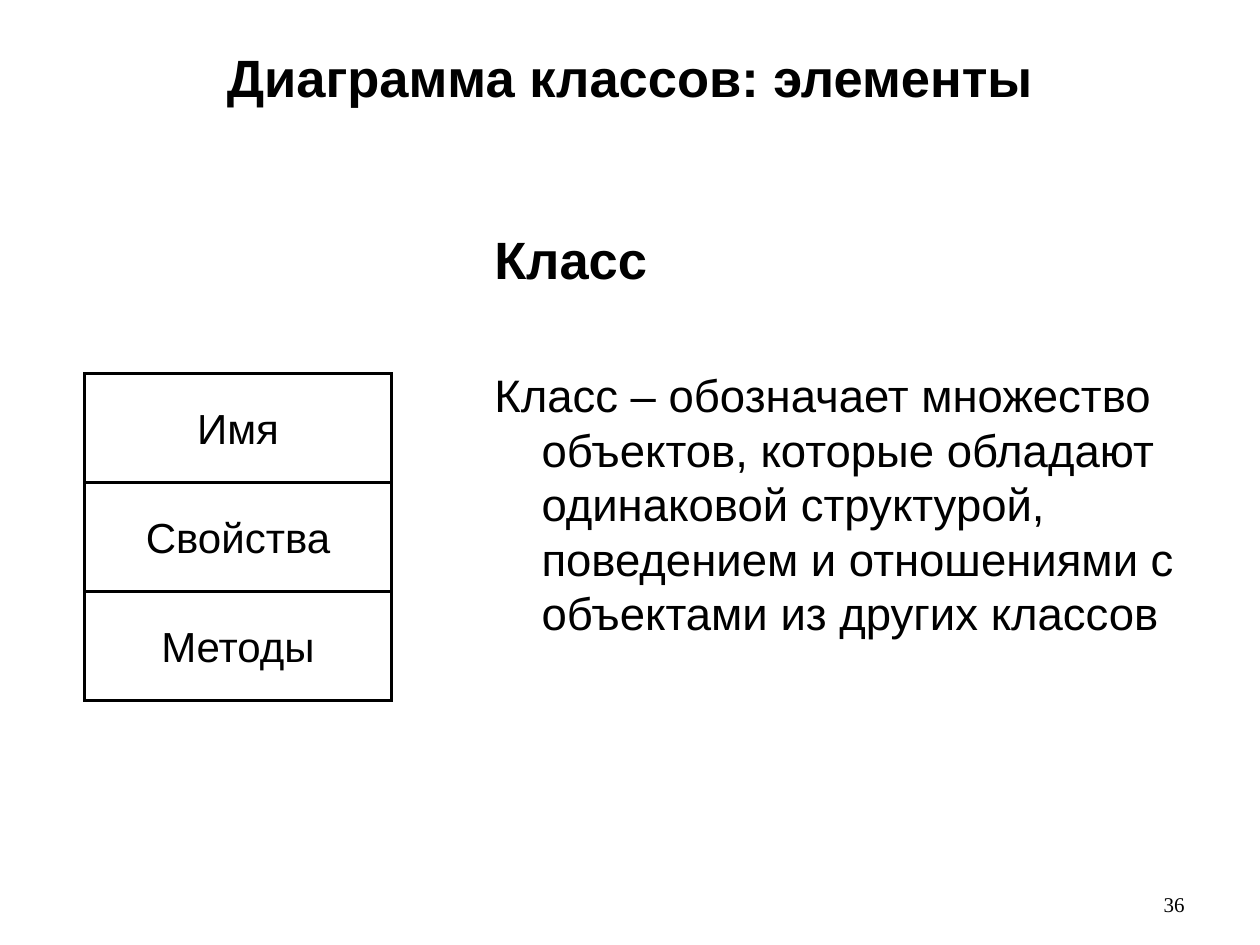
"""Build a slide that explains the parts of a class in a class diagram."""
from pptx import Presentation
from pptx.dml.color import RGBColor
from pptx.enum.shapes import MSO_SHAPE
from pptx.enum.text import MSO_ANCHOR, MSO_AUTO_SIZE, PP_ALIGN
from pptx.oxml.ns import qn
from pptx.util import Pt
from lxml.etree import SubElement

BLACK = RGBColor(0, 0, 0)

TITLE = "Диаграмма классов: элементы"
HEADING = "Класс"
DEFINITION = (
    "Класс – обозначает множество объектов, которые обладают одинаковой "
    "структурой, поведением и отношениями с объектами из других классов"
)
CLASS_PARTS = ["Имя", "Свойства", "Методы"]
PAGE_NUMBER = "36"

TITLE_FONT = {"name": "Arial", "size": Pt(30), "bold": True}
BODY_FONT = {"name": "Arial", "size": Pt(26), "bold": False}
PART_FONT = {"name": "Arial", "size": Pt(24)}
NUMBER_FONT = {"name": "Times New Roman", "size": Pt(12)}

PART_LEFT, PART_TOP, PART_WIDTH, PART_HEIGHT = 48.25, 213.5, 175.5, 62.25


def place(shape, left, top, width, height):
    shape.left, shape.top = Pt(left), Pt(top)
    shape.width, shape.height = Pt(width), Pt(height)


def set_frame(shape, anchor, wrap=True):
    frame = shape.text_frame
    frame.auto_size = MSO_AUTO_SIZE.NONE
    frame.vertical_anchor = anchor
    frame.word_wrap = wrap
    return frame


def write(para, text, font, align):
    para.alignment = align
    span = para.add_run()
    span.text = text
    for name, value in font.items():
        setattr(span.font, name, value)
    span.font.color.rgb = BLACK


def add_title(page):
    title = page.shapes.title
    place(title, 36, 22, 648, 90)
    frame = set_frame(title, MSO_ANCHOR.TOP)
    write(frame.paragraphs[0], TITLE, TITLE_FONT, PP_ALIGN.CENTER)


def add_body(page):
    body = page.placeholders[1]
    place(body, 275.25, 126.25, 408.75, 356.25)
    frame = set_frame(body, MSO_ANCHOR.TOP)
    rows = [(HEADING, TITLE_FONT, 0), (DEFINITION, BODY_FONT, 44)]
    for index, (text, font, gap) in enumerate(rows):
        para = frame.add_paragraph() if index else frame.paragraphs[0]
        para.space_before = Pt(gap)
        properties = para._p.get_or_add_pPr()
        properties.set("marL", str(Pt(27)))
        properties.set("indent", str(Pt(-27)))
        SubElement(properties, qn("a:buNone"))
        write(para, text, font, PP_ALIGN.LEFT)


def add_class_box(page):
    for index, text in enumerate(CLASS_PARTS):
        box = page.shapes.add_shape(MSO_SHAPE.RECTANGLE, 0, 0, 0, 0)
        place(box, PART_LEFT, PART_TOP + index * PART_HEIGHT, PART_WIDTH, PART_HEIGHT)
        box.shadow.inherit = False
        box.fill.background()
        box.line.color.rgb = BLACK
        box.line.width = Pt(2)
        outline = box._element.spPr.find(qn("a:ln"))
        SubElement(outline, qn("a:miter"), lim="800000")
        frame = set_frame(box, MSO_ANCHOR.MIDDLE, wrap=False)
        write(frame.paragraphs[0], text, PART_FONT, PP_ALIGN.CENTER)


def add_page_number(page):
    box = page.shapes.add_textbox(0, 0, 0, 0)
    place(box, 643.75, 491.5, 40.25, 36)
    frame = set_frame(box, MSO_ANCHOR.BOTTOM)
    write(frame.paragraphs[0], PAGE_NUMBER, NUMBER_FONT, PP_ALIGN.RIGHT)


def main():
    deck = Presentation()
    deck.slide_width, deck.slide_height = Pt(720), Pt(540)
    page = deck.slides.add_slide(deck.slide_layouts[1])
    add_title(page)
    add_body(page)
    add_class_box(page)
    add_page_number(page)
    deck.save("out.pptx")


if __name__ == "__main__":
    main()
